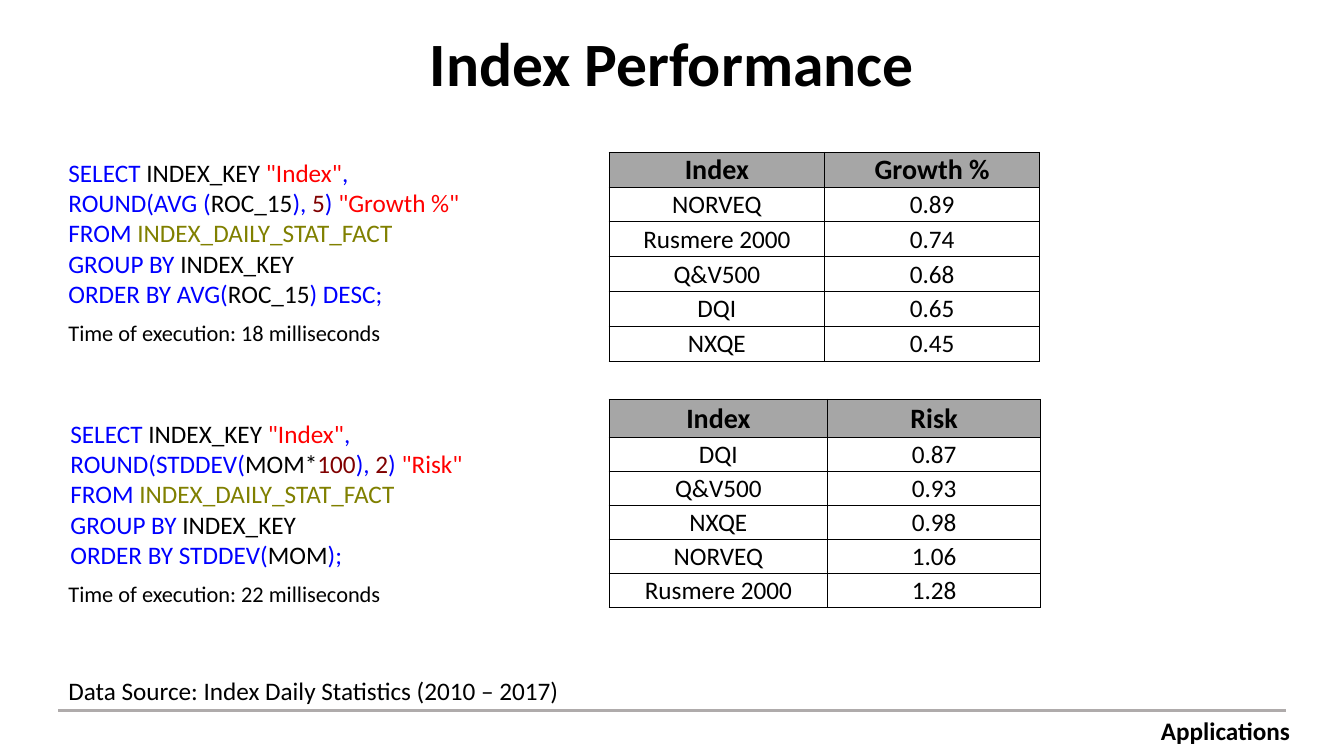
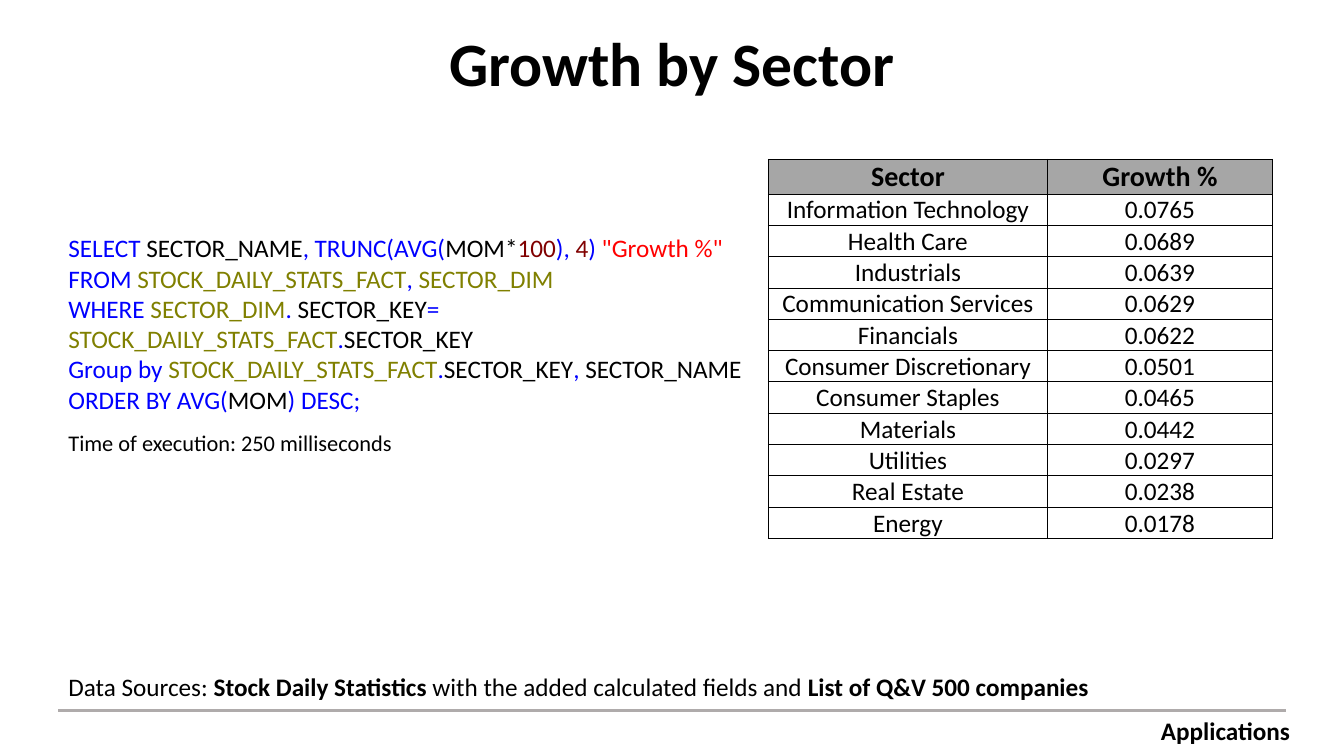
import itertools

import lxml.etree
import pptx
import pptx.dml.color
import pptx.enum.shapes
import pptx.enum.text
import pptx.oxml.ns
import pptx.util

Inches = pptx.util.Inches
Pt = pptx.util.Pt
ANCHOR = pptx.enum.text.MSO_ANCHOR
ALIGN = pptx.enum.text.PP_ALIGN

FONT = "Calibri"
BLACK, BLUE, RED = "000000", "0000FF", "FF0000"
MAROON, OLIVE = "800000", "808000"
RULE_GREY, HEADER_GREY = "AFABAB", "A6A6A6"
LEFT, RIGHT = 0.58, 12.75
COLUMN_NAMES = {"INDEX_KEY", "ROC_15", "MOM", "*", "SECTOR_KEY", "SECTOR_NAME"}

INDEX_GROWTH = [("Index", "Growth %"), ("NORVEQ", "0.89"), ("Rusmere 2000", "0.74"),
                ("Q&V500", "0.68"), ("DQI", "0.65"), ("NXQE", "0.45")]
INDEX_RISK = [("Index", "Risk"), ("DQI", "0.87"), ("Q&V500", "0.93"),
              ("NXQE", "0.98"), ("NORVEQ", "1.06"), ("Rusmere 2000", "1.28")]
SECTOR_GROWTH = [("Sector", "Growth %"), ("Information Technology", "0.0765"),
                 ("Health Care", "0.0689"), ("Industrials", "0.0639"),
                 ("Communication Services", "0.0629"), ("Financials", "0.0622"),
                 ("Consumer Discretionary", "0.0501"), ("Consumer Staples", "0.0465"),
                 ("Materials", "0.0442"), ("Utilities", "0.0297"),
                 ("Real Estate", "0.0238"), ("Energy", "0.0178")]

GROWTH_SQL = ['SELECT INDEX_KEY "Index", ROUND(AVG (ROC_15), 5) "Growth %"',
              "FROM INDEX_DAILY_STAT_FACT",
              "GROUP BY INDEX_KEY",
              "ORDER BY AVG(ROC_15) DESC;"]
RISK_SQL = ['SELECT INDEX_KEY "Index", ROUND(STDDEV(MOM*100), 2) "Risk"',
            "FROM INDEX_DAILY_STAT_FACT",
            "GROUP BY INDEX_KEY",
            "ORDER BY STDDEV(MOM);"]
SECTOR_SQL = ['SELECT SECTOR_NAME, TRUNC(AVG(MOM*100), 4) "Growth %"',
              "FROM STOCK_DAILY_STATS_FACT, SECTOR_DIM",
              "WHERE SECTOR_DIM. SECTOR_KEY= STOCK_DAILY_STATS_FACT.SECTOR_KEY",
              "Group by STOCK_DAILY_STATS_FACT.SECTOR_KEY, SECTOR_NAME",
              "ORDER BY AVG(MOM) DESC;"]


def rgb(value):
    return pptx.dml.color.RGBColor.from_string(value)


def add_text(p, text, size=18, color=BLACK, bold=False, align=None, spacing=None):
    r = p.add_run()
    r.text = text
    r.font.name = FONT
    r.font.size = Pt(size)
    r.font.bold = bold
    r.font.color.rgb = rgb(color)
    if align is not None:
        p.alignment = align
    if spacing is not None:
        p.line_spacing = spacing


def token_color(token):
    if token in COLUMN_NAMES:
        return BLACK
    if token.isdigit():
        return MAROON
    if token.endswith(("_FACT", "_DIM")):
        return OLIVE
    return BLUE


def sql_runs(line):
    for i, part in enumerate(line.split('"')):
        if i % 2:
            yield f'"{part}"', RED
            continue
        for _, chars in itertools.groupby(part, lambda c: c.isalnum() or c == "_"):
            token = "".join(chars)
            yield token, token_color(token)


class Deck:
    def __init__(self):
        self.prs = pptx.Presentation()
        self.prs.slide_width = Inches(13.33)
        self.prs.slide_height = Inches(7.5)
        self.s = None

    def slide(self, title):
        self.s = self.prs.slides.add_slide(self.prs.slide_layouts[6])
        tf = self.box(LEFT, 0.22, RIGHT - LEFT, 0.88, ANCHOR.MIDDLE)
        add_text(tf.paragraphs[0], title, size=44, bold=True,
                 align=ALIGN.CENTER, spacing=0.9)
        self.rule(7.05)
        tf = self.box(11.21, 7.05, 1.89, 0.4)
        add_text(tf.paragraphs[0], "Applications", bold=True, align=ALIGN.CENTER)

    def box(self, left, top, width, height, anchor=ANCHOR.TOP):
        sp = self.s.shapes.add_textbox(Inches(left), Inches(top),
                                       Inches(width), Inches(height))
        tf = sp.text_frame
        tf.word_wrap = True
        tf.vertical_anchor = anchor
        return tf

    def rule(self, top):
        line = self.s.shapes.add_connector(
            pptx.enum.shapes.MSO_CONNECTOR.STRAIGHT,
            Inches(LEFT), Inches(top), Inches(RIGHT), Inches(top))
        line.line.color.rgb = rgb(RULE_GREY)
        line.line.width = Pt(2.25)
        lxml.etree.SubElement(line._element.spPr, pptx.oxml.ns.qn("a:effectLst"))

    def note(self, top, width, *parts, size=18):
        p = self.box(LEFT, top, width, 0.4).paragraphs[0]
        for i, part in enumerate(parts):
            add_text(p, part, size=size, bold=i % 2 == 1)

    def timing(self, top, milliseconds):
        self.note(top, 3.52, f"Time of execution: {milliseconds} milliseconds", size=16)

    def sql(self, left, top, width, height, lines):
        tf = self.box(left, top, width, height)
        for i, line in enumerate(lines):
            p = tf.add_paragraph() if i else tf.paragraphs[0]
            for text, color in sql_runs(line):
                add_text(p, text, color=color)

    def table(self, left, top, widths, height, header_height, rows):
        tbl = self.s.shapes.add_table(len(rows), len(widths), Inches(left), Inches(top),
                                      Inches(sum(widths)), Inches(height)).table
        tbl.first_row = tbl.horz_banding = False
        for column, width in zip(tbl.columns, widths):
            column.width = Inches(width)
        row_height = (height - header_height) / (len(rows) - 1)
        for i, values in enumerate(rows):
            tbl.rows[i].height = Inches(row_height if i else header_height)
            for j, value in enumerate(values):
                self.cell(tbl.cell(i, j), value, header=i == 0)

    def cell(self, cell, text, header):
        cell.margin_left = cell.margin_right = cell.margin_top = Inches(0.01)
        cell.margin_bottom = 0
        cell.vertical_anchor = ANCHOR.MIDDLE
        self.borders(cell)
        if header:
            cell.fill.solid()
            cell.fill.fore_color.rgb = rgb(HEADER_GREY)
        else:
            cell.fill.background()
        add_text(cell.text_frame.paragraphs[0], text, size=20 if header else 18,
                 bold=header, align=ALIGN.CENTER)

    def borders(self, cell):
        qn = pptx.oxml.ns.qn
        tcPr = cell._tc.get_or_add_tcPr()
        for side in "LRTB":
            ln = lxml.etree.SubElement(tcPr, qn(f"a:ln{side}"), w=str(int(Pt(0.5))))
            fill = lxml.etree.SubElement(ln, qn("a:solidFill"))
            lxml.etree.SubElement(fill, qn("a:srgbClr"), val=BLACK)


def main():
    deck = Deck()

    deck.slide("Index Performance")
    deck.note(6.65, 5.16, "Data Source: Index Daily Statistics (2010 – 2017)")
    deck.table(6.04, 1.51, (2.14, 2.13), 2.07, 0.34, INDEX_GROWTH)
    deck.sql(LEFT, 1.51, 4.27, 1.62, GROWTH_SQL)
    deck.timing(3.12, 18)
    deck.sql(0.6, 4.1, 4.1, 1.62, RISK_SQL)
    deck.table(6.04, 3.96, (2.17, 2.11), 2.07, 0.38, INDEX_RISK)
    deck.timing(5.71, 22)

    deck.slide("Growth by Sector")
    deck.note(6.61, 11, "Data Sources: ", "Stock Daily Statistics ",
              "with the added calculated fields and ", "List of Q&V 500 companies")
    deck.table(7.62, 1.58, (2.77, 2.23), 3.76, 0.34, SECTOR_GROWTH)
    deck.sql(LEFT, 2.26, 7.04, 1.92, SECTOR_SQL)
    deck.timing(4.21, 250)

    deck.prs.save("out.pptx")


if __name__ == "__main__":
    main()
